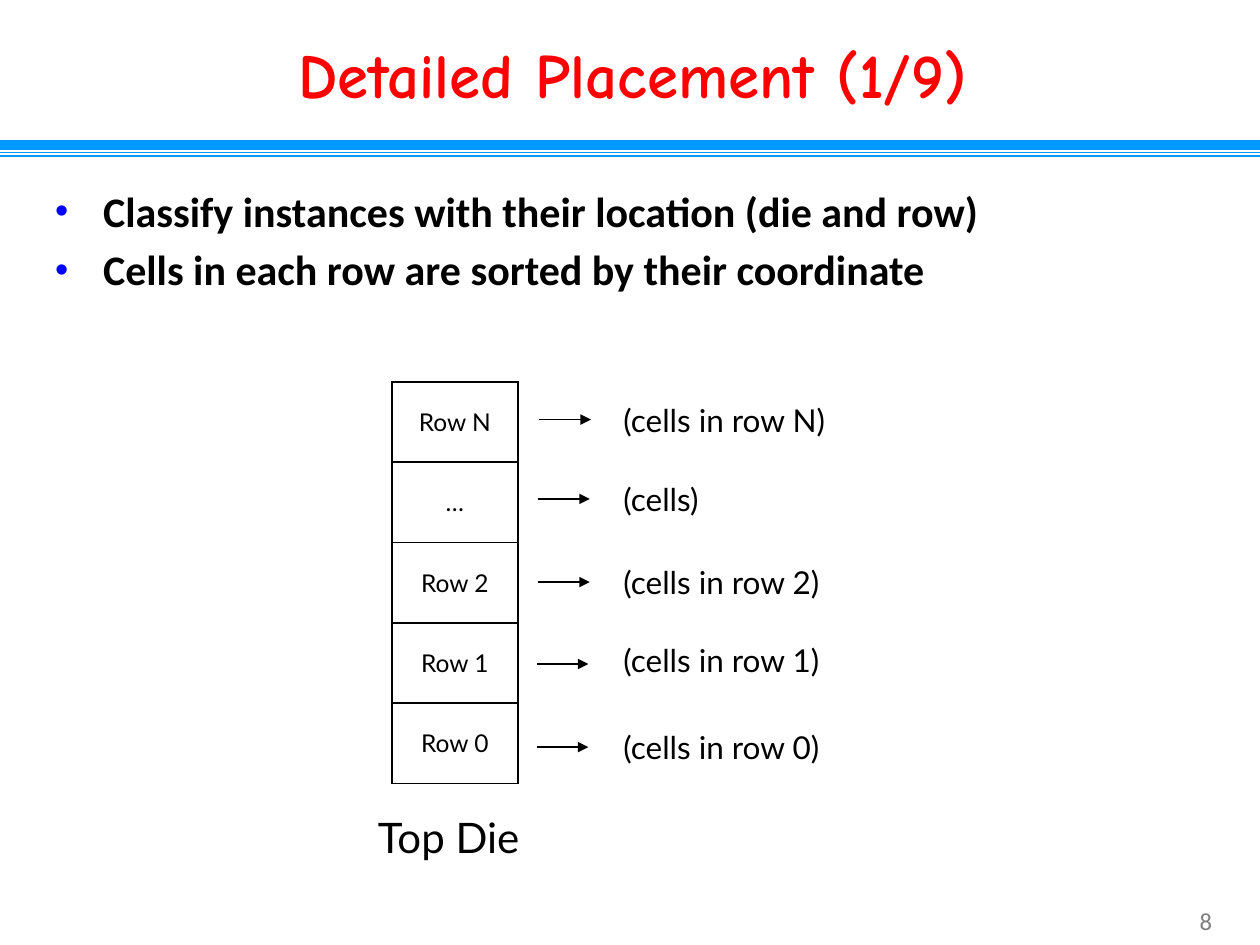
import pptx
import pptx.util
import pptx.dml.color
import pptx.enum.shapes
import pptx.enum.text
import pptx.oxml
import pptx.oxml.ns

Inches = pptx.util.Inches
Pt = pptx.util.Pt
PP_ALIGN = pptx.enum.text.PP_ALIGN
MSO_ANCHOR = pptx.enum.text.MSO_ANCHOR
NS = pptx.oxml.ns.nsdecls("a")
COLORS = {"title": "FF0000", "text": "000000", "rule": "0099FF",
          "bullet": "0000FF", "number": "7F7F7F"}


def write(tf, text, size=18, font="Lato", color="text", bold=False,
          align=PP_ALIGN.LEFT, new=False):
    p = tf.add_paragraph() if new else tf.paragraphs[0]
    p.alignment = align
    r = p.add_run()
    r.text = text
    r.font.size = Pt(size)
    r.font.name = font
    r.font.bold = bold
    r.font.color.rgb = pptx.dml.color.RGBColor.from_string(COLORS[color])
    return p


def draw_line(x1, y1, x2, y2, color="text", width=1, arrow=False):
    sp = s.shapes.add_connector(pptx.enum.shapes.MSO_CONNECTOR.STRAIGHT,
                                Inches(x1), Inches(y1), Inches(x2), Inches(y2))
    sp.line.color.rgb = pptx.dml.color.RGBColor.from_string(COLORS[color])
    sp.line.width = Pt(width)
    if arrow:
        sp.line._get_or_add_ln().append(
            pptx.oxml.parse_xml(f'<a:tailEnd {NS} type="triangle"/>'))
    sp._element.spPr.append(pptx.oxml.parse_xml(f"<a:effectLst {NS}/>"))


prs = pptx.Presentation()
prs.slide_width = Inches(10)
prs.slide_height = Inches(7.5)
s = prs.slides.add_slide(prs.slide_layouts[5])

for y, width in [(1.15, 6), (1.21, 1), (1.24, 1)]:
    draw_line(0, y, 10, y, color="rule", width=width)

title = s.shapes.title
title.left, title.top = Inches(0.33), Inches(0.25)
title.width, title.height = Inches(9.38), Inches(0.67)
tf = title.text_frame
tf.margin_left = tf.margin_right = tf.margin_top = tf.margin_bottom = 0
tf.vertical_anchor = MSO_ANCHOR.MIDDLE
write(tf, "Detailed Placement (1/9)", size=36, font="Comic Neue",
      color="title", bold=True, align=PP_ALIGN.CENTER)

tf = s.shapes.add_textbox(Inches(0.34), Inches(1.42), Inches(8.67), Inches(1.41)).text_frame
tf.word_wrap = True
points = ["Classify instances with their location (die and row)",
          "Cells in each row are sorted by their coordinate"]
for i, text in enumerate(points):
    p = write(tf, text, size=24, font="Calibri", bold=True, new=i > 0)
    pPr = p._p.get_or_add_pPr()
    pPr.set("marL", str(Inches(0.38)))
    pPr.set("indent", str(Inches(-0.38)))
    for xml in [f'<a:spcBef {NS}><a:spcPct val="20000"/></a:spcBef>',
                f'<a:buClr {NS}><a:srgbClr val="{COLORS["bullet"]}"/></a:buClr>',
                f'<a:buSzPct {NS} val="90000"/>',
                f'<a:buFont {NS} typeface="Arial"/>',
                f'<a:buChar {NS} char="•"/>']:
        pPr.append(pptx.oxml.parse_xml(xml))

rows = [("Row N", "(cells in row N)", 4.28, 3.33, 3.13),
        ("…", "(cells)", 4.27, 3.96, 3.76),
        ("Row 2", "(cells in row 2)", 4.27, 4.62, 4.42),
        ("Row 1", "(cells in row 1)", 4.26, 5.27, 5.04),
        ("Row 0", "(cells in row 0)", 4.26, 5.93, 5.73)]
table = s.shapes.add_table(len(rows), 1, Inches(3.11), Inches(3.03),
                           Inches(1), Inches(3.19)).table
table.first_row = False
table.horz_banding = False
for i, (name, label, arrow_x, arrow_y, label_y) in enumerate(rows):
    cell = table.cell(i, 0)
    cell.vertical_anchor = MSO_ANCHOR.MIDDLE
    write(cell.text_frame, name, size=14, align=PP_ALIGN.CENTER)
    for side in ("lnL", "lnR", "lnT", "lnB"):
        cell._tc.get_or_add_tcPr().append(pptx.oxml.parse_xml(
            f'<a:{side} {NS} w="12700"><a:solidFill>'
            f'<a:srgbClr val="{COLORS["text"]}"/></a:solidFill></a:{side}>'))
    cell.fill.background()
    draw_line(arrow_x, arrow_y, arrow_x + 0.41, arrow_y, arrow=True)
    sp = s.shapes.add_textbox(Inches(4.85), Inches(label_y), Inches(1.97), Inches(0.4))
    write(sp.text_frame, label)

sp = s.shapes.add_textbox(Inches(2.9), Inches(6.39), Inches(1.39), Inches(0.5))
write(sp.text_frame, "Top Die", size=24)

sp = s.shapes.add_textbox(Inches(9.16), Inches(7.14), Inches(0.82), Inches(0.34))
sp.text_frame.word_wrap = True
write(sp.text_frame, "8", size=14, font="Calibri", color="number", align=PP_ALIGN.CENTER)

prs.save("out.pptx")
